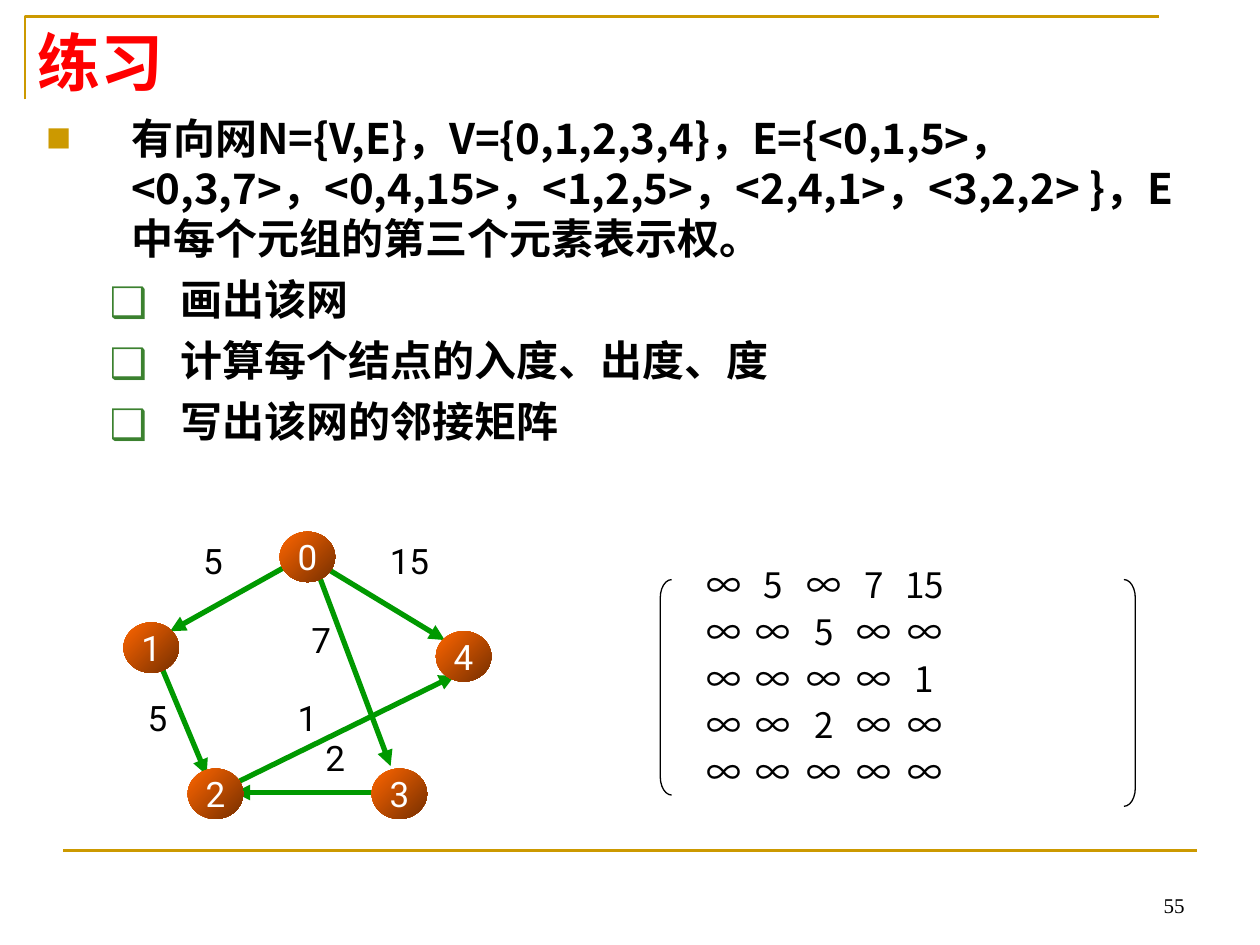
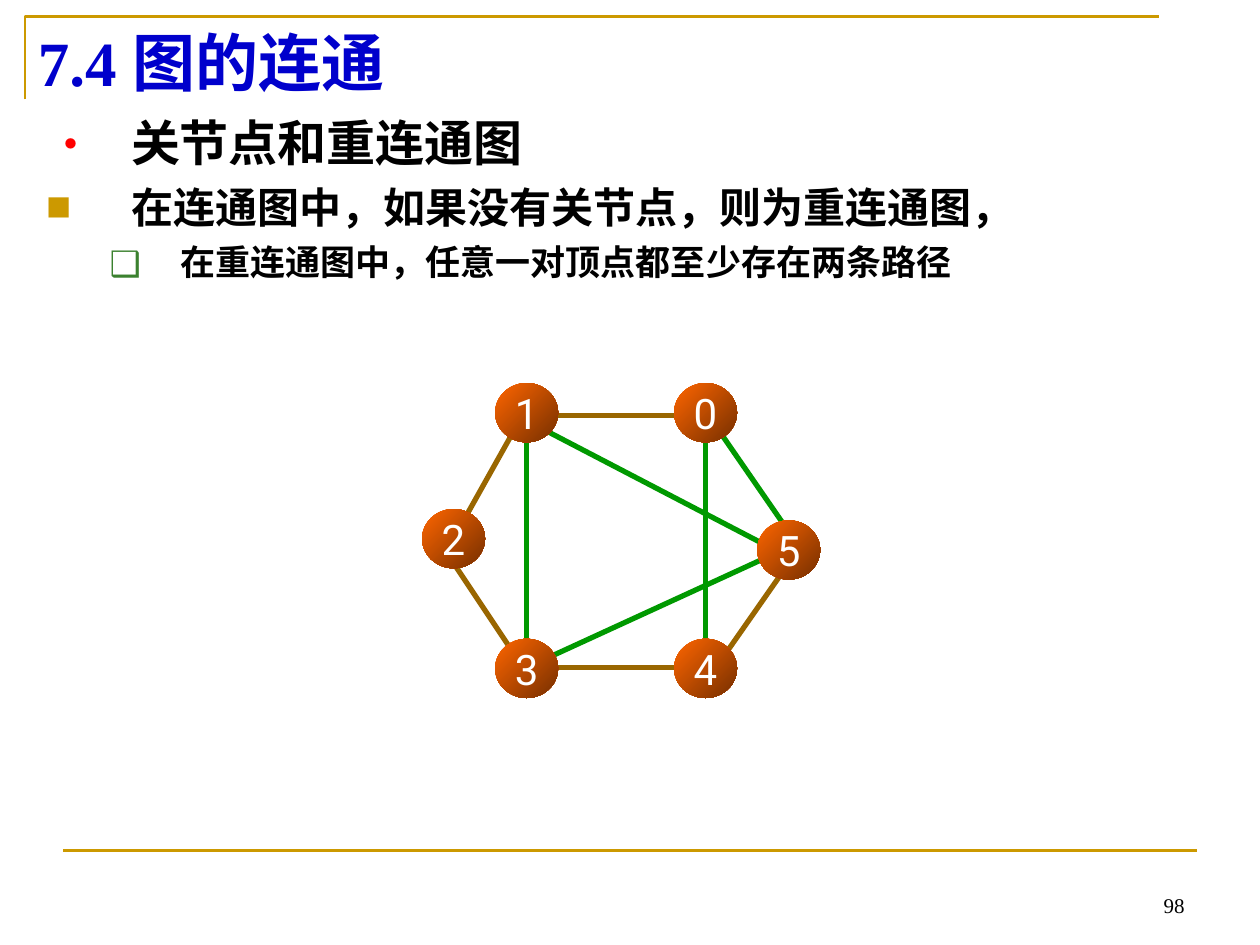
from lxml.etree import SubElement
from pptx import Presentation
from pptx.dml.color import RGBColor
from pptx.enum.shapes import MSO_CONNECTOR as Link, MSO_SHAPE as Shape
from pptx.enum.text import MSO_ANCHOR as Anchor, MSO_AUTO_SIZE as Fit, PP_ALIGN as Align
from pptx.oxml.ns import qn
from pptx.util import Emu, Pt

PX = 9144
GOLD, GREEN, BROWN = "CC9900", "009900", "996600"
RED, BLUE, BLACK, WHITE = "FF0000", "0000CC", "000000", "FFFFFF"
MOSS, ORANGE, RUST = "3B812F", "FF6600", "762F00"
HAN, SERIF, DIGITS = "Noto Sans CJK SC", "Times New Roman", "Roboto"
SQUARE = dict(bullet="■", bullet_color=GOLD, bullet_size=60)
CHECK = dict(bullet="❑", bullet_color=MOSS, level=1)
DOT = dict(bullet="•", bullet_color=RED)
INDENTS = [(67, -67), (106, -56)]


def px(*lengths):
    return [Emu(length * PX) for length in lengths]


def paint(target, color):
    target.rgb = RGBColor.from_string(color)


def write(para, text, font=HAN, size=20, color=BLACK, bold=False,
          align=Align.LEFT, before=0, leading=None):
    para.alignment = align
    para.space_before = Pt(before)
    if leading:
        para.line_spacing = Pt(leading)
    span = para.add_run()
    span.text = text
    span.font.name = font
    span.font.size = Pt(size)
    span.font.bold = bold
    paint(span.font.color, color)
    SubElement(span.font._element, qn("a:ea"), typeface=HAN)


def set_frame(box, anchor=Anchor.TOP, wrap=True, side=10):
    frame = box.text_frame
    frame.auto_size = Fit.NONE
    frame.word_wrap = wrap
    frame.vertical_anchor = anchor
    frame.margin_left = frame.margin_right = px(side)[0]
    frame.margin_top = frame.margin_bottom = px(5)[0]
    return frame


def add_label(page, place, text, anchor=Anchor.TOP, **style):
    box = page.shapes.add_textbox(*px(*place))
    write(set_frame(box, anchor).paragraphs[0], text, **style)


def add_line(page, start, end, color, width=3, arrow=False):
    line = page.shapes.add_connector(Link.STRAIGHT, *px(*start, *end))
    paint(line.line.color, color)
    line.line.width = Pt(width)
    if arrow:
        SubElement(line.line._get_or_add_ln(), qn("a:tailEnd"), type="triangle")
    SubElement(line._element.spPr, qn("a:effectLst"))


def outline(shape, color, width):
    shape.shadow.inherit = False
    shape.fill.background()
    paint(shape.line.color, color)
    shape.line.width = Pt(width)


def move(box, place):
    box.left, box.top, box.width, box.height = px(*place)


def add_page(deck, title, title_color, number):
    page = deck.slides.add_slide(deck.slide_layouts[1])
    corner = page.shapes.build_freeform(20, 79, scale=PX)
    corner.add_line_segments([(20, 13), (920, 13)], close=False)
    outline(corner.convert_to_shape(), GOLD, 1.5)
    add_line(page, (50, 675), (950, 675), GOLD, width=1.5)
    add_label(page, (717, 683, 233, 50), number, anchor=Anchor.BOTTOM,
              font=SERIF, size=12, align=Align.RIGHT)
    heading = page.shapes.title
    move(heading, (20, 13, 900, 71))
    write(set_frame(heading, Anchor.MIDDLE).paragraphs[0], title,
          font=SERIF, size=36, color=title_color, bold=True)
    return page


def set_bullet(para, bullet, bullet_color, bullet_size=100, level=0):
    para.level = level
    props = para._p.get_or_add_pPr()
    margin, hang = px(*INDENTS[level])
    props.set("marL", str(margin))
    props.set("indent", str(hang))
    tint = SubElement(props, qn("a:buClr"))
    SubElement(tint, qn("a:srgbClr"), val=bullet_color)
    SubElement(props, qn("a:buSzPct"), val=str(bullet_size * 1000))
    SubElement(props, qn("a:buFont"), typeface=HAN)
    SubElement(props, qn("a:buChar"), char=bullet)


def fill_body(page, place, items):
    body = page.placeholders[1]
    move(body, place)
    frame = set_frame(body)
    for index, (text, size, mark) in enumerate(items):
        para = frame.add_paragraph() if index else frame.paragraphs[0]
        set_bullet(para, **mark)
        write(para, text, size=size, bold=True, leading=size * 1.2,
              before=size / 4 if index else 0)


def add_node(page, place, name, size):
    node = page.shapes.add_shape(Shape.OVAL, *px(*place))
    node.shadow.inherit = False
    node.fill.gradient()
    node.fill.gradient_angle = 315
    for stop, color, position in zip(node.fill.gradient_stops, (ORANGE, RUST), (0, 1)):
        paint(stop.color, color)
        stop.position = position
    node.line.fill.background()
    frame = set_frame(node, Anchor.MIDDLE, wrap=False, side=0)
    write(frame.paragraphs[0], name, font=DIGITS, size=size,
          color=WHITE, align=Align.CENTER)


def add_graph(page, origin, nodes, edges, node_box, size, arrow=False, weights=()):
    left, top = origin
    for x1, y1, x2, y2, color in edges:
        add_line(page, (left + x1, top + y1), (left + x2, top + y2), color, arrow=arrow)
    for name, x, y in nodes:
        add_node(page, (left + x, top + y, *node_box), name, size)
    for weight, x, y, width in weights:
        add_label(page, (left + x, top + y, width, 44), weight,
                  font=DIGITS, align=Align.CENTER)


def add_matrix(page, origin, rows):
    left, top = origin
    for kind, x, height in ((Shape.LEFT_BRACKET, 0, 171), (Shape.RIGHT_BRACKET, 368, 180)):
        bracket = page.shapes.add_shape(kind, *px(left + x, top + 14, 9, height))
        bracket.adjustments[0] = 1.6
        outline(bracket, BLACK, 0.75)
    box = page.shapes.add_textbox(*px(left + 27, top, 332, 188))
    frame = set_frame(box)
    for index, row in enumerate(rows):
        para = frame.add_paragraph() if index else frame.paragraphs[0]
        stops = SubElement(para._p.get_or_add_pPr(), qn("a:tabLst"))
        for column in range(1, 5):
            SubElement(stops, qn("a:tab"), pos=str(px(13 + 40 * column)[0]), algn="ctr")
        write(para, "\t".join(row.split()), leading=21.6, before=5 if index else 0)


def build_exercise(deck):
    page = add_page(deck, "练习", RED, "55")
    fill_body(page, (27, 84, 937, 307), [
        ("有向网N={V,E}，V={0,1,2,3,4}，E={<0,1,5>，<0,3,7>，<0,4,15>，"
         "<1,2,5>，<2,4,1>，<3,2,2> }，E中每个元组的第三个元素表示权。", 24, SQUARE),
        ("画出该网", 24, CHECK),
        ("计算每个结点的入度、出度、度", 24, CHECK),
        ("写出该网的邻接矩阵", 24, CHECK),
    ])
    nodes = [("1", 0, 72), ("3", 197, 188), ("2", 51, 188), ("4", 248, 79), ("0", 124, 0)]
    edges = [
        (161, 29, 255, 86, GREEN),
        (30, 107, 66, 193, GREEN),
        (139, 22, 37, 79, GREEN),
        (153, 29, 212, 186, GREEN),
        (197, 207, 88, 207, GREEN),
        (88, 200, 263, 114, GREEN),
    ]
    weights = [("5", 44, 1, 54), ("5", 0, 126, 54), ("15", 184, 1, 86),
               ("1", 119, 126, 54), ("7", 130, 64, 54), ("2", 141, 158, 54)]
    add_graph(page, (98, 422), nodes, edges, (44, 40), 20, arrow=True, weights=weights)
    add_matrix(page, (524, 446), [
        "∞ 5 ∞ 7 15",
        "∞ ∞ 5 ∞ ∞",
        "∞ ∞ ∞ ∞ 1",
        "∞ ∞ 2 ∞ ∞",
        "∞ ∞ ∞ ∞ ∞",
    ])


def build_connectivity(deck):
    page = add_page(deck, "7.4 图的连通", BLUE, "98")
    fill_body(page, (27, 84, 890, 504), [
        ("关节点和重连通图", 28, DOT),
        ("在连通图中，如果没有关节点，则为重连通图，", 24, SQUARE),
        ("在重连通图中，任意一对顶点都至少存在两条路径", 20, CHECK),
    ])
    nodes = [("1", 58, 0), ("3", 58, 203), ("2", 0, 100),
             ("5", 266, 109), ("4", 200, 203), ("0", 200, 0)]
    edges = [
        (208, 26, 108, 26, BROWN),
        (225, 43, 225, 209, GREEN),
        (233, 34, 291, 118, GREEN),
        (75, 34, 33, 109, BROWN),
        (83, 218, 83, 43, GREEN),
        (283, 134, 91, 34, GREEN),
        (75, 218, 25, 143, BROWN),
        (216, 226, 91, 226, BROWN),
        (283, 134, 100, 218, GREEN),
        (291, 143, 233, 226, BROWN),
    ]
    add_graph(page, (335, 304), nodes, edges, (50, 47), 24)


def main():
    deck = Presentation()
    deck.slide_width, deck.slide_height = px(1000, 750)
    build_exercise(deck)
    build_connectivity(deck)
    deck.save("out.pptx")


if __name__ == "__main__":
    main()
